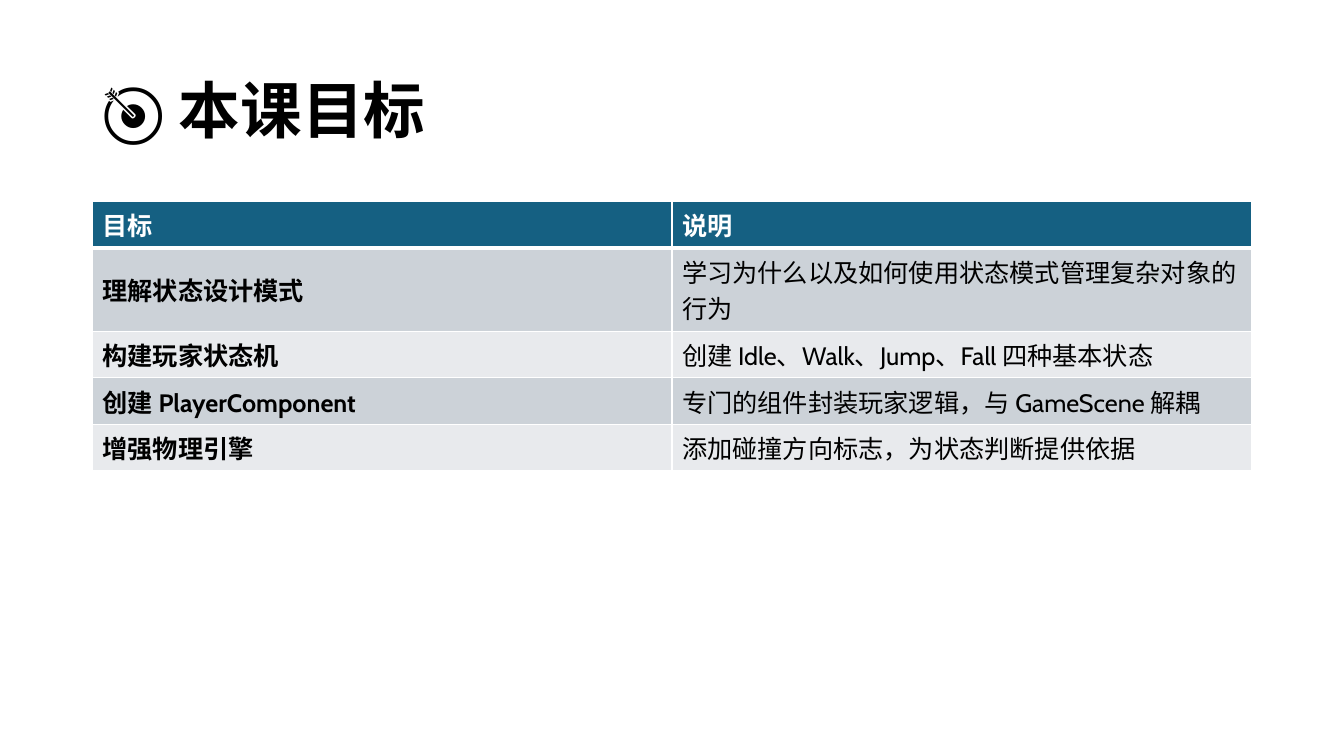
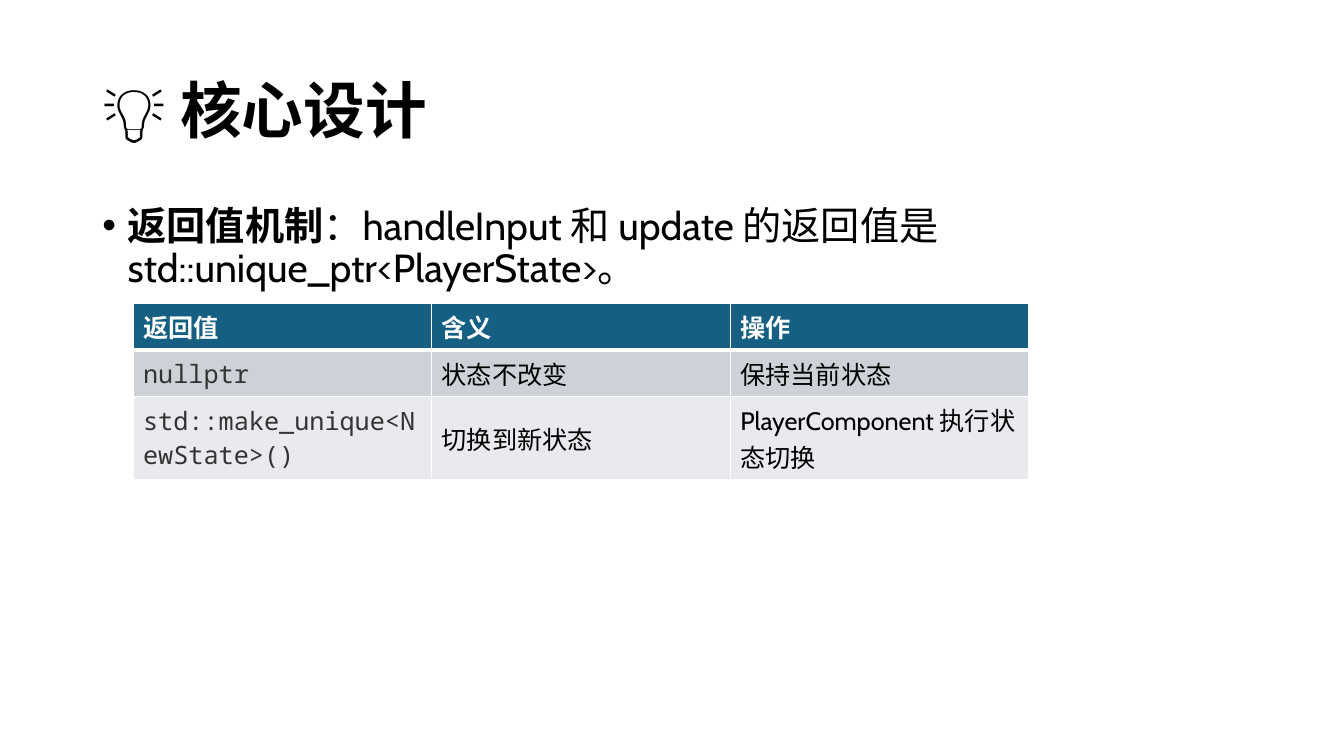
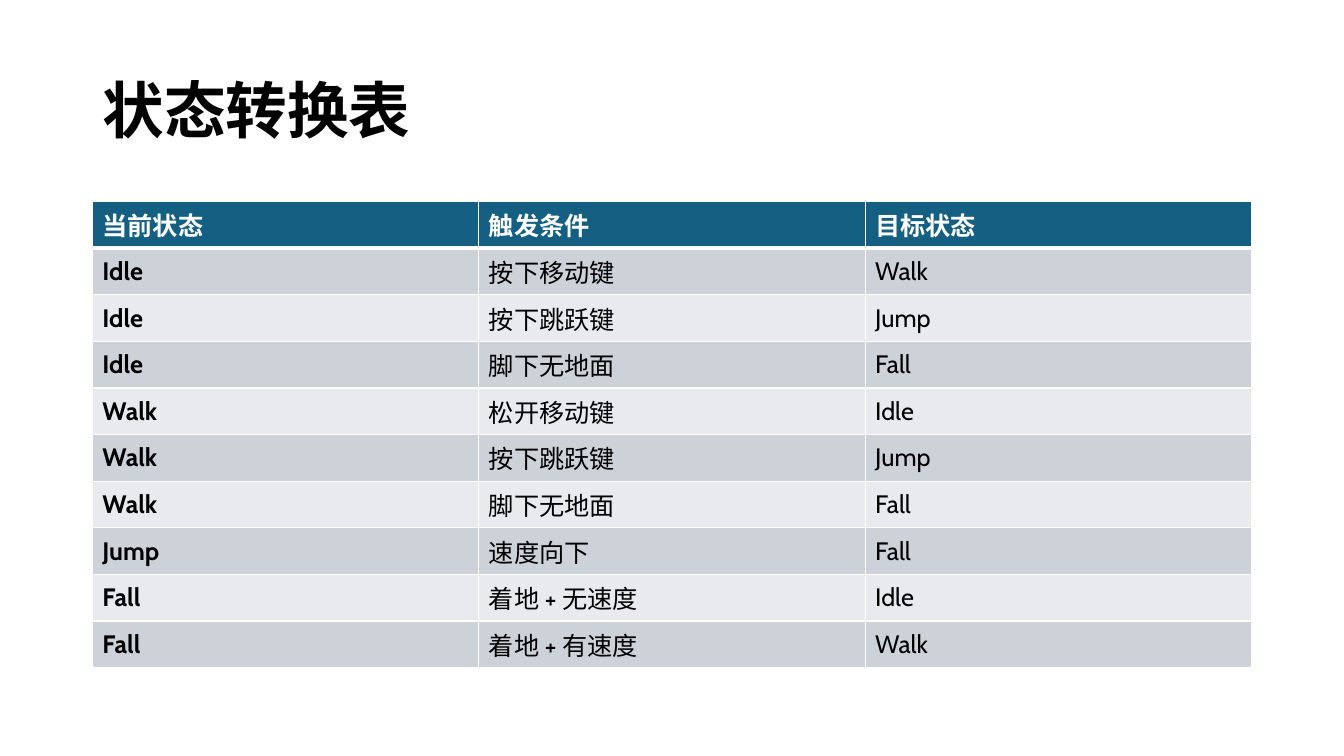
from lxml.etree import SubElement
from pptx import Presentation
from pptx.dml.color import RGBColor
from pptx.enum.lang import MSO_LANGUAGE_ID
from pptx.enum.text import MSO_ANCHOR, MSO_AUTO_SIZE, PP_ALIGN
from pptx.oxml.ns import qn
from pptx.util import Pt

BLACK, WHITE, CODE_GREY = "000000", "FFFFFF", "333333"
HEADER_FILL = "156082"
BAND_FILLS = ("CCD2D8", "E8EAED")
TEXT_FONT, CODE_FONT = "Cabin", "Noto Sans Mono"
TITLE_LAYOUT, LIST_LAYOUT = 5, 1
TITLE_BOX = (66, 28.75, 828, 104.4)
CONTENT_BOX = (66, 144, 828, 342.6)
RETURN_TABLE_BOX = (95, 216.7, 640, 108.5)
ROW_HEIGHT = 29.2
THIN, THICK = 1, 3

GOALS = [
    ("目标", "说明"),
    ("理解状态设计模式", "学习为什么以及如何使用状态模式管理复杂对象的行为"),
    ("构建玩家状态机", "创建 Idle、Walk、Jump、Fall 四种基本状态"),
    ("创建 PlayerComponent", "专门的组件封装玩家逻辑，与 GameScene 解耦"),
    ("增强物理引擎", "添加碰撞方向标志，为状态判断提供依据"),
]
RETURN_RULE = [
    ("返回值机制", True),
    ("：handleInput 和 update 的返回值是 std::unique_ptr<PlayerState>。", False),
]
RETURN_VALUES = [
    ("返回值", "含义", "操作"),
    ("nullptr", "状态不改变", "保持当前状态"),
    ("std::make_unique<NewState>()", "切换到新状态", "PlayerComponent 执行状态切换"),
]
TRANSITIONS = [
    ("当前状态", "触发条件", "目标状态"),
    ("Idle", "按下移动键", "Walk"),
    ("Idle", "按下跳跃键", "Jump"),
    ("Idle", "脚下无地面", "Fall"),
    ("Walk", "松开移动键", "Idle"),
    ("Walk", "按下跳跃键", "Jump"),
    ("Walk", "脚下无地面", "Fall"),
    ("Jump", "速度向下", "Fall"),
    ("Fall", "着地 + 无速度", "Idle"),
    ("Fall", "着地 + 有速度", "Walk"),
]


def paint(color_format, color):
    """Give a font colour or a solid fill colour its hex value."""
    color_format.rgb = RGBColor.from_string(color)


def set_values(target, values):
    """Set each attribute of the target from a dict."""
    for name, value in values.items():
        setattr(target, name, value)


def add_span(para, text, size, bold=False, color=BLACK, font=TEXT_FONT):
    """Add one formatted run to a paragraph."""
    span = para.add_run()
    span.text = text
    set_values(span.font, {
        "name": font, "size": Pt(size), "bold": bold,
        "language_id": MSO_LANGUAGE_ID.SIMPLIFIED_CHINESE,
    })
    paint(span.font.color, color)


def place_text(shape, box, anchor, space_before):
    """Move a placeholder to its box and return its first paragraph."""
    left, top, width, height = box
    set_values(shape, {
        "left": Pt(left), "top": Pt(top), "width": Pt(width), "height": Pt(height),
    })
    set_values(shape.text_frame, {
        "word_wrap": True, "auto_size": MSO_AUTO_SIZE.NONE, "vertical_anchor": anchor,
    })
    para = shape.text_frame.paragraphs[0]
    set_values(para, {
        "alignment": PP_ALIGN.LEFT, "line_spacing": 0.9, "space_before": Pt(space_before),
    })
    return para


def add_page(deck, layout, title):
    """Add a slide with the shared title style."""
    page = deck.slides.add_slide(deck.slide_layouts[layout])
    para = place_text(page.shapes.title, TITLE_BOX, MSO_ANCHOR.MIDDLE, 0)
    add_span(para, title, 44, bold=True)
    return page


def fill_list(page, box, spans):
    """Write one bulleted paragraph into the body placeholder."""
    para = place_text(page.placeholders[1], box, MSO_ANCHOR.TOP, 10)
    properties = para._p.get_or_add_pPr()
    properties.set("marL", str(Pt(18)))
    properties.set("indent", str(Pt(-18)))
    for text, bold in spans:
        add_span(para, text, 28, bold)


def add_borders(cell, top, bottom):
    """Draw white lines on the four sides of a cell."""
    properties = cell._tc.get_or_add_tcPr()
    widths = {"a:lnL": THIN, "a:lnR": THIN, "a:lnT": top, "a:lnB": bottom}
    for position, (side, width) in enumerate(widths.items()):
        line = SubElement(properties, qn(side), w=str(Pt(width)))
        SubElement(SubElement(line, qn("a:solidFill")), qn("a:srgbClr"), val=WHITE)
        properties.insert(position, line)


def add_grid(page, box, rows, first_column):
    """Add a banded table whose first column has its own text format."""
    left, top, width, _ = box
    columns = len(rows[0])
    table = page.shapes.add_table(
        len(rows), columns, Pt(left), Pt(top), Pt(width), Pt(ROW_HEIGHT * len(rows))
    ).table
    for column in table.columns:
        column.width = Pt(width / columns)
    for row_number, texts in enumerate(rows):
        header = row_number == 0
        fill = HEADER_FILL if header else BAND_FILLS[(row_number - 1) % 2]
        for column_number, text in enumerate(texts):
            cell = table.cell(row_number, column_number)
            cell.vertical_anchor = MSO_ANCHOR.MIDDLE
            cell.fill.solid()
            paint(cell.fill.fore_color, fill)
            add_borders(cell, THICK if row_number == 1 else THIN, THICK if header else THIN)
            style = {"bold": False}
            if header:
                style = {"bold": True, "color": WHITE}
            elif column_number == 0:
                style = first_column
            add_span(cell.text_frame.paragraphs[0], text, 18, **style)


def add_table_page(deck, title, rows):
    """Add a slide with a title and a full-width table."""
    page = add_page(deck, TITLE_LAYOUT, title)
    add_grid(page, CONTENT_BOX, rows, {"bold": True})


def add_design_page(deck):
    """Add the slide with a bulleted rule above its table."""
    page = add_page(deck, LIST_LAYOUT, "💡 核心设计")
    fill_list(page, CONTENT_BOX, RETURN_RULE)
    add_grid(page, RETURN_TABLE_BOX, RETURN_VALUES, {"color": CODE_GREY, "font": CODE_FONT})


def main():
    """Build and save the deck."""
    deck = Presentation()
    set_values(deck, {"slide_width": Pt(960), "slide_height": Pt(540)})
    add_table_page(deck, "🎯 本课目标", GOALS)
    add_design_page(deck)
    add_table_page(deck, "状态转换表", TRANSITIONS)
    deck.save("out.pptx")


if __name__ == "__main__":
    main()
